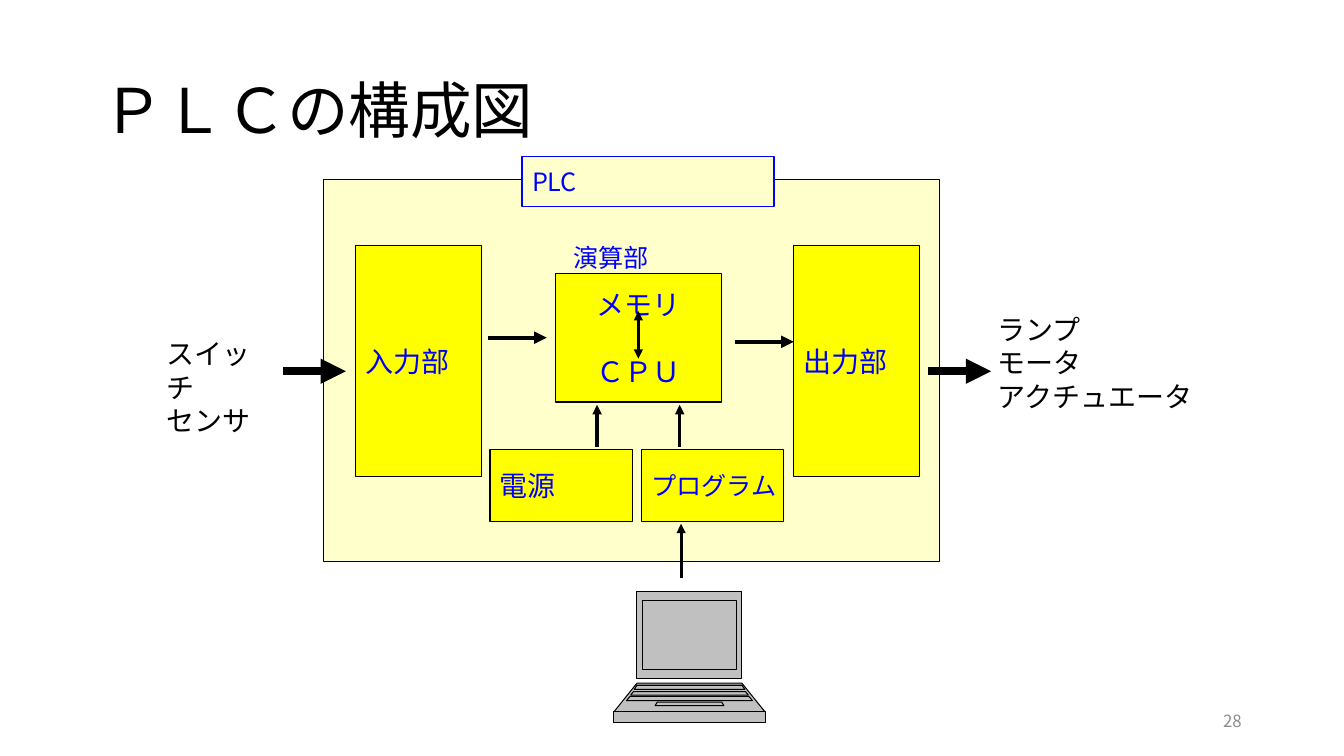
from pptx import Presentation
from pptx.dml.color import RGBColor
from pptx.enum.shapes import MSO_CONNECTOR, MSO_SHAPE
from pptx.enum.text import MSO_ANCHOR, PP_ALIGN
from pptx.oxml.ns import qn
from pptx.util import Pt
from lxml import etree

RECT = MSO_SHAPE.RECTANGLE
LINE = MSO_CONNECTOR.STRAIGHT
TOP, MID = MSO_ANCHOR.TOP, MSO_ANCHOR.MIDDLE
LEFT, MIDST, RIGHT = PP_ALIGN.LEFT, PP_ALIGN.CENTER, PP_ALIGN.RIGHT
FONT = "Noto Sans CJK JP"
COLORS = {"black": "000000", "blue": "0000FF", "cream": "FFFFCC",
          "yellow": "FFFF00", "silver": "C0C0C0", "gray": "8C8C8C"}


def color(name):
    return RGBColor.from_string(COLORS[name])


def write(shape, text, size=20, ink="black", align=LEFT, anchor=MID,
          wrap=True, gap=0, pitch=None):
    """Fill a shape with one paragraph per line of text."""
    frame = shape.text_frame
    frame.word_wrap = wrap
    frame.vertical_anchor = anchor
    for i, words in enumerate(text.split("\n")):
        para = frame.add_paragraph() if i else frame.paragraphs[0]
        para.alignment = align
        if pitch:
            para.line_spacing = pitch
        if i and gap:
            para.space_before = Pt(gap)
        run = para.add_run()
        run.text = words
        run.font.name = FONT
        run.font.size = Pt(size)
        run.font.color.rgb = color(ink)
        asian = etree.SubElement(run.font._element, qn("a:ea"))
        asian.set("typeface", FONT)


def label(slide, box, text, **form):
    write(slide.shapes.add_textbox(*map(Pt, box)), text, **form)


def paint(shape, fill, edge="black", width=0.75):
    shape.shadow.inherit = False
    shape.fill.solid()
    shape.fill.fore_color.rgb = color(fill)
    shape.line.color.rgb = color(edge)
    shape.line.width = Pt(width)


def block(slide, box, text="", fill="yellow", edge="black", width=0.75, **form):
    shape = slide.shapes.add_shape(RECT, *map(Pt, box))
    paint(shape, fill, edge, width)
    if text:
        write(shape, text, ink="blue", **form)


def arrow(slide, start, end, width=2.25, both=False):
    line = slide.shapes.add_connector(LINE, *map(Pt, start + end))
    line.line.color.rgb = color("black")
    line.line.width = Pt(width)
    stroke = line.line._get_or_add_ln()
    for tip in ("a:headEnd", "a:tailEnd") if both else ("a:tailEnd",):
        etree.SubElement(stroke, qn(tip)).set("type", "triangle")
    etree.SubElement(line._element.spPr, qn("a:effectLst"))


def plc(slide, box):
    """Controller frame with its units and the arrows between them."""
    x, y, w, h = box
    block(slide, box, fill="cream")
    for dx, name in ((23, "入力部"), (335.5, "出力部")):
        block(slide, (x + dx, y + 47.5, 90, 165), name)
    block(slide, (x + 165.5, y + 67, 119, 92), "メモリ\nＣＰＵ",
          align=MIDST, gap=24)
    block(slide, (x + 119, y + 193, 101.5, 51), "電源")
    block(slide, (x + 227, y + 193, 101.5, 51), "プログラム",
          size=18, wrap=False)
    label(slide, (x + 171.5, y + 29, 119.5, 54), "演算部", size=18, ink="blue")
    block(slide, (x + 142, y - 16.6, 180, 36), "PLC", fill="cream",
          edge="blue", width=1, size=18)
    for dx, dy in ((117.5, 113), (294, 116)):
        arrow(slide, (x + dx, y + dy), (x + dx + 42, y + dy), width=3)
    for dx in (195.5, 254.5):
        arrow(slide, (x + dx, y + 191), (x + dx, y + 161))
    arrow(slide, (x + 225, y + 94), (x + 225, y + 128), both=True)
    for dx in (-29, 432):
        arrow(slide, (x + dx, y + 137), (x + dx + 45, y + 137), width=6)
    arrow(slide, (x + 255.5, y + 285), (x + 255.5, y + 246))


def laptop(slide, box):
    """Laptop of trapezoids: top, half width there, bottom, half width there."""
    x, y, w, h = box
    mid = x + w / 2
    parts = ((0, 37.5, 62, 37.5), (65.5, 37.5, 86, 54), (86, 54, h, 54),
             (6.5, 33.5, 55.5, 33.5), (67, 37.5, 70, 39.5),
             (79, 23, 81.5, 24.5), (71.5, 40, 74, 42), (75, 42.5, 78, 45))
    for top, near, base, far in parts:
        spots = [(mid - near, y + top), (mid + near, y + top),
                 (mid + far, y + base), (mid - far, y + base)]
        spots = [(Pt(a), Pt(b)) for a, b in spots]
        path = slide.shapes.build_freeform(*spots[0])
        path.add_line_segments(spots[1:], close=True)
        paint(path.convert_to_shape(), "silver")


def main():
    deck = Presentation()
    deck.slide_width, deck.slide_height = Pt(960), Pt(540)
    slide = deck.slides.add_slide(deck.slide_layouts[6])
    label(slide, (66, 28.8, 828, 104.4), "ＰＬＣの構成図", size=44, pitch=0.9)
    plc(slide, (231, 128.2, 440, 273))
    label(slide, (111.6, 237, 80.5, 55.5), "スイッチ\nセンサ", anchor=TOP)
    label(slide, (705.6, 219.6, 164, 128), "ランプ\nモータ\nアクチュエータ",
          anchor=TOP)
    laptop(slide, (438.5, 422.5, 108, 93.5))
    label(slide, (678, 500.5, 216, 28.8), "28", size=12, ink="gray",
          align=RIGHT)
    deck.save("out.pptx")


if __name__ == "__main__":
    main()
